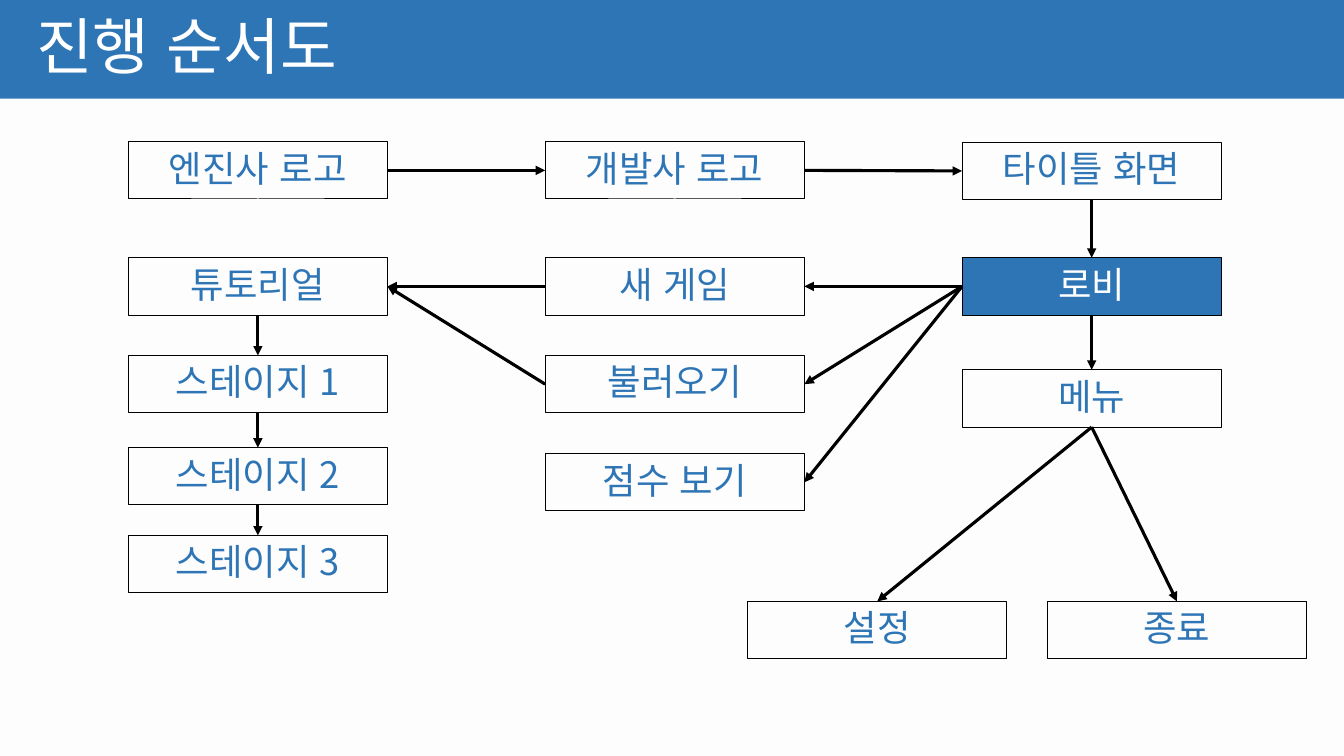
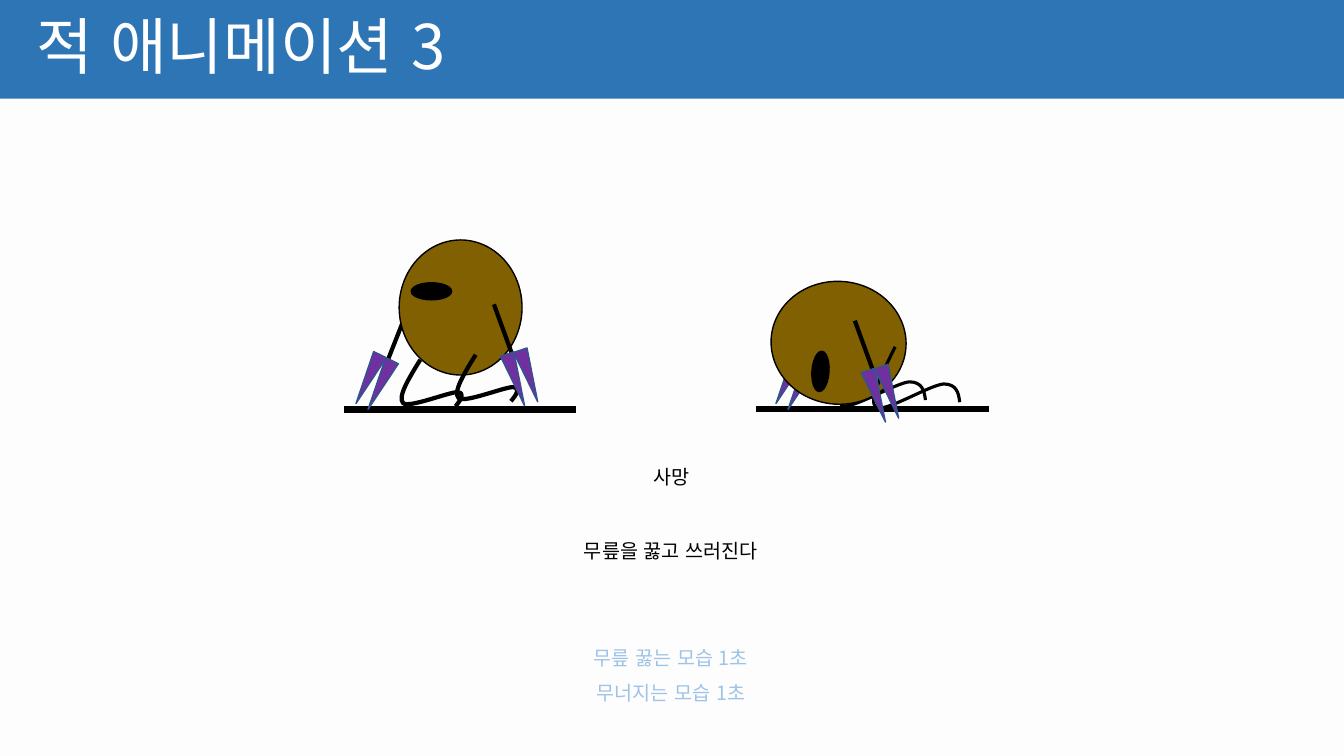
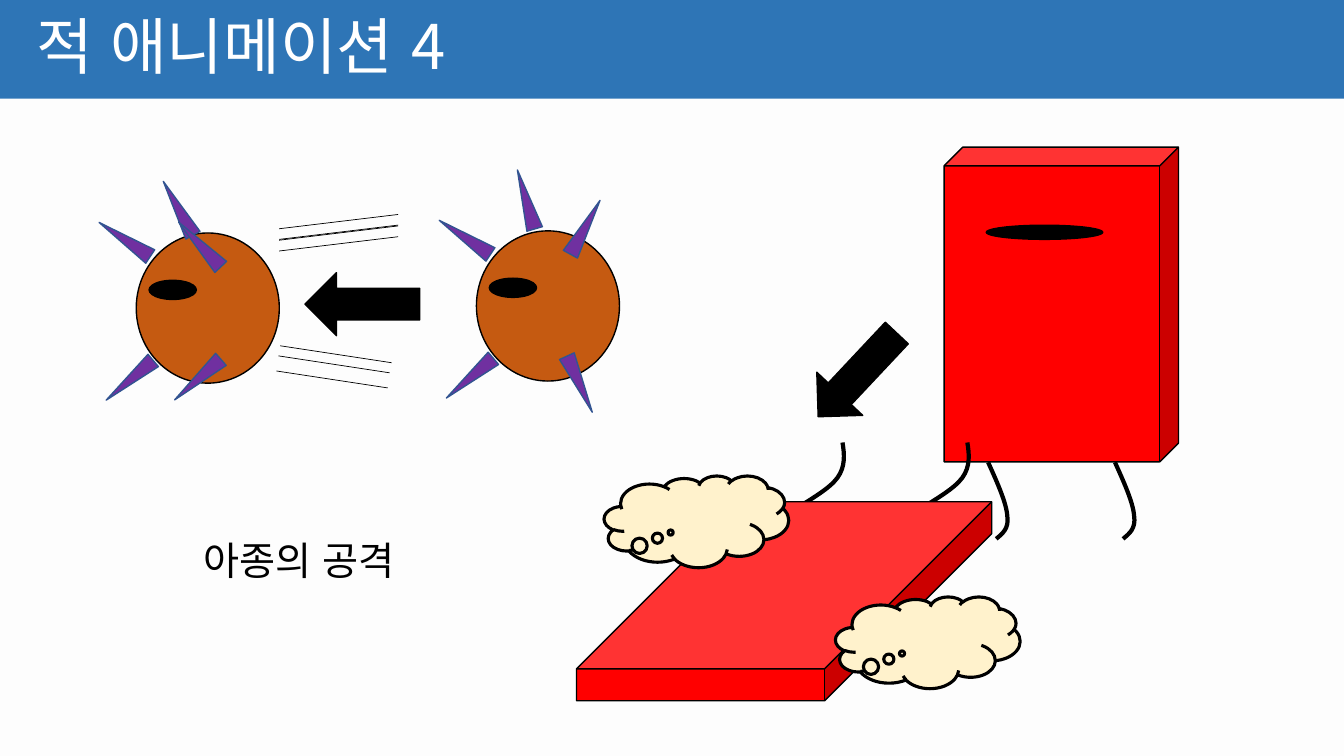
from dataclasses import dataclass
from typing import Any

from lxml import etree
from pptx import Presentation
from pptx.dml.color import RGBColor
from pptx.enum import lang, shapes as kinds, text as txt
from pptx.oxml.ns import qn
from pptx.util import Pt

# Shared look
BLUE = RGBColor(0x2E, 0x75, 0xB6)
PALE = RGBColor(0x9D, 0xC3, 0xE6)
WHITE = RGBColor(0xFF, 0xFF, 0xFF)
PAPER = RGBColor(0xFD, 0xFD, 0xFD)
BLACK = RGBColor(0, 0, 0)
OLIVE = RGBColor(0x80, 0x60, 0x00)
RUST = RGBColor(0xC5, 0x5A, 0x11)
RED = RGBColor(0xFF, 0, 0)
CREAM = RGBColor(0xFF, 0xF2, 0xCC)
VIOLET = RGBColor(0x70, 0x30, 0xA0)
NAVY = RGBColor(0x32, 0x54, 0x91)
FONT = "Noto Sans CJK KR"
WIDE, HIGH, BAND = 960, 540, 70.5

KIND = kinds.MSO_SHAPE
MID, TOP = txt.MSO_ANCHOR.MIDDLE, txt.MSO_ANCHOR.TOP
LEFT, CENTER = txt.PP_ALIGN.LEFT, txt.PP_ALIGN.CENTER
Point = tuple[float, float]


@dataclass
class Line:
    text: str
    color: RGBColor = BLACK
    gap: float = 10


@dataclass
class Node:
    key: str
    text: str
    left: float
    top: float
    hot: bool = False


@dataclass
class Link:
    start: str
    out: int
    end: str
    into: int


@dataclass
class Spike:
    left: float
    top: float
    turn: float


# Drawing helpers
def write(shape: Any, lines: list[Line], size: float,
          anchor: Any = MID, align: Any = CENTER) -> None:
    frame = shape.text_frame
    frame.word_wrap = True
    frame.auto_size = txt.MSO_AUTO_SIZE.NONE
    frame.vertical_anchor = anchor
    for i, line in enumerate(lines):
        para = frame.add_paragraph() if i else frame.paragraphs[0]
        para.text = line.text
        para.alignment = align
        para.line_spacing = 0.9
        para.space_before = Pt(line.gap if i else 0)
    for props in shape.element.iter(qn("a:pPr")):
        props.set("marL", "0")
        props.set("indent", "0")
        etree.SubElement(props, qn("a:buNone"))
    for para, line in zip(frame.paragraphs, lines):
        para.font.size = Pt(size)
        para.font.color.rgb = line.color
        para.font.name = FONT
        para.font.language_id = lang.MSO_LANGUAGE_ID.KOREAN
    for props in shape.element.iter(qn("a:defRPr")):
        etree.SubElement(props, qn("a:ea"), typeface=FONT)


def place(shape: Any, left: float, top: float, wide: float, high: float) -> None:
    shape.left, shape.top = Pt(left), Pt(top)
    shape.width, shape.height = Pt(wide), Pt(high)


def draw(parent: Any, kind: Any, left: float, top: float, wide: float, high: float,
         fill: RGBColor | None, edge: RGBColor | None = BLACK, width: float = 1,
         turn: float = 0) -> Any:
    shape = parent.shapes.add_shape(kind, Pt(left), Pt(top), Pt(wide), Pt(high))
    shape.shadow.inherit = False
    shape.rotation = turn
    if fill is None:
        shape.fill.background()
    else:
        shape.fill.solid()
        shape.fill.fore_color.rgb = fill
    if edge is None:
        shape.line.fill.background()
    else:
        shape.line.color.rgb = edge
        shape.line.width = Pt(width)
    return shape


def stroke(parent: Any, start: Point, end: Point, width: float, head: bool = False) -> Any:
    line = parent.shapes.add_connector(
        kinds.MSO_CONNECTOR.STRAIGHT, *(Pt(n) for n in start + end))
    line.line.color.rgb = BLACK
    line.line.width = Pt(width)
    props = line.element.spPr
    if head:
        etree.SubElement(props.find(qn("a:ln")), qn("a:tailEnd"), type="triangle")
    etree.SubElement(props, qn("a:effectLst"))
    return line


def trace(parent: Any, left: float, top: float, knots: list[Point], width: float) -> Any:
    """Draw an open outline from (left, top) through the offsets in knots."""
    pen = parent.shapes.build_freeform(Pt(left), Pt(top))
    pen.add_line_segments([(Pt(left + x), Pt(top + y)) for x, y in knots], close=False)
    shape = pen.convert_to_shape()
    shape.shadow.inherit = False
    shape.fill.background()
    shape.line.color.rgb = BLACK
    shape.line.width = Pt(width)
    return shape


def curve(parent: Any, left: float, top: float, knots: list[Point], width: float) -> None:
    """Turn each three knots of an outline into one cubic curve."""
    shape = trace(parent, left, top, knots, width)
    sides = list(shape.element.iter(qn("a:lnTo")))
    for i in range(0, len(sides), 3):
        bend = etree.Element(qn("a:cubicBezTo"))
        sides[i].addprevious(bend)
        for side in sides[i:i + 3]:
            bend.append(side[0])
            side.getparent().remove(side)


def stab(parent: Any, spikes: list[Spike], left: float, top: float,
         wide: float, high: float) -> None:
    for s in spikes:
        draw(parent, KIND.ISOSCELES_TRIANGLE, left + s.left, top + s.top,
             wide, high, VIOLET, NAVY, turn=s.turn + 180)


def start(deck: Any, layout: int, title: str) -> Any:
    slide = deck.slides.add_slide(deck.slide_layouts[layout])
    place(slide.shapes.title, 18.7, 0.5, 828, 70)
    write(slide.shapes.title, [Line(title, WHITE)], 44, align=LEFT)
    return slide


def theme(deck: Any, slide: Any) -> None:
    """Colour the master and move the paper panel onto it."""
    master = deck.slide_master
    master.background.fill.solid()
    master.background.fill.fore_color.rgb = BLUE
    panel = draw(slide, KIND.RECTANGLE, 0, BAND, WIDE, HIGH - BAND, PAPER, None)
    panel.element.nvSpPr.cNvPr.set("id", "99")
    master.element.cSld.spTree.insert(2, panel.element)


# Slide 1: flow chart
COLS = [91.6 + 297.8 * i for i in range(3)]
NODES = [
    Node("guide", "튜토리얼", COLS[0], 184.1),
    Node("one", "스테이지 1", COLS[0], 253.9),
    Node("two", "스테이지 2", COLS[0], 319.7),
    Node("three", "스테이지 3", COLS[0], 382.5),
    Node("engine", "엔진사 로고", COLS[0], 101.2),
    Node("maker", "개발사 로고", COLS[1], 101.2),
    Node("title", "타이틀 화면", COLS[2], 101.6),
    Node("lobby", "로비", COLS[2], 184.1, True),
    Node("load", "불러오기", COLS[1], 253.9),
    Node("new", "새 게임", COLS[1], 184.1),
    Node("score", "점수 보기", COLS[1], 324),
    Node("menu", "메뉴", COLS[2], 264.1),
    Node("quit", "종료", 748.1, 429.6),
    Node("setup", "설정", 534, 429.6),
]
UP, WEST, DOWN, EAST = range(4)
LINKS = [
    Link("engine", EAST, "maker", WEST), Link("maker", EAST, "title", WEST),
    Link("title", DOWN, "lobby", UP), Link("lobby", WEST, "new", EAST),
    Link("new", WEST, "guide", EAST), Link("load", WEST, "guide", EAST),
    Link("guide", DOWN, "one", UP), Link("one", DOWN, "two", UP),
    Link("two", DOWN, "three", UP), Link("lobby", WEST, "load", EAST),
    Link("lobby", WEST, "score", EAST), Link("lobby", DOWN, "menu", UP),
    Link("menu", DOWN, "setup", UP), Link("menu", DOWN, "quit", UP),
]


def flow(slide: Any) -> None:
    boxes = {}
    for n in NODES:
        box = draw(slide, KIND.RECTANGLE, n.left, n.top, 185.2, 41,
                   BLUE if n.hot else None, width=0.75)
        write(box, [Line(n.text, WHITE if n.hot else BLUE)], 26)
        boxes[n.key] = box
    for link in LINKS:
        line = stroke(slide, (0, 0), (0, 0), 2.25, head=True)
        line.begin_connect(boxes[link.start], link.out)
        line.end_connect(boxes[link.end], link.into)


# Slide 2: enemy kneels and falls
KNEEL = [(-8, 13), (-16.5, 26.7), (-12.2, 31), (-7.9, 34.6), (20.2, 23.1),
         (26.7, 23.1), (32.4, 23.8), (28.8, 28.8), (25.2, 33.2)]
CRAWL = [(-9.4, 19.4), (-19.4, 38.9), (-13.7, 43.2), (-7.9, 47.5), (24.5, 27.4),
         (34.6, 26.6), (43.9, 26.6), (45.4, 33.1), (46.1, 39.6)]
BACK = [Spike(-24.6, 33.8, 26.2), Spike(-33.2, 29.5, 26.2)]
FRONT = [Spike(20, 31.7, 341.4), Spike(10.6, 34.5, 341.4)]


def arm(parent: Any, left: float, top: float, reach: float, spikes: list[Spike]) -> None:
    trace(parent, left, top, [(reach, 34.6)], 3)
    stab(parent, spikes, left, top, 10.1, 38.9)


def body(parent: Any, left: float, top: float, eye: Point, turn: float = 0) -> None:
    draw(parent, KIND.OVAL, left, top, 87.8, 96.5, OLIVE, turn=turn)
    draw(parent, KIND.OVAL, *eye, 28.8, 12.2, BLACK, turn=turn)


def death(slide: Any) -> None:
    knee = slide.shapes.add_group_shape()
    stroke(knee, (245.5, 292.5), (411.5, 292.5), 4.5)
    arm(knee, 291, 221.8, -13.7, BACK)
    body(knee, 285.1, 171.4, (293.8, 202))
    for left, top in ((339.8, 253.4), (300.2, 257)):
        curve(knee, left, top, KNEEL, 3)
    arm(knee, 352.8, 217.4, 12.6, FRONT)

    fall = slide.shapes.add_group_shape()
    curve(fall, 614.9, 246.2, CRAWL, 2.25)
    stroke(fall, (540, 292), (706.3, 292), 4.5)
    arm(fall, 591, 221.8, -13.7, BACK)
    body(fall, 555.1, 196.6, (571.7, 259.2), 273.9)
    curve(fall, 639.4, 247.7, CRAWL, 2.25)
    arm(fall, 610.6, 229.1, 12.6, FRONT)

    name = slide.shapes.add_textbox(Pt(441), Pt(330.5), Pt(77), Pt(28))
    write(name, [Line("사망")], 14, TOP)
    notes = slide.placeholders[1]
    place(notes, 272.9, 383.2, 412.6, 130.3)
    write(notes, [Line("무릎을 꿇고 쓰러진다"), Line("무릎 꿇는 모습 1초", PALE, 61),
                  Line("무너지는 모습 1초", PALE)], 14, TOP)


# Slide 3: attacks of the other kinds
STAND = [(6.5, 14.4), (13, 28.8), (13.7, 38.2),
         (15.1, 47.5), (10.1, 51.1), (5.8, 54.7)]
KICK = [(12.2, -7.9), (25.2, -15.1), (31, -23),
        (36.7, -31), (36, -39.6), (34.6, -48.2)]
SIDE = [Spike(-10.4, 83.3, 49.8), Spike(-14, -17.3, 123.7)]
RUSH = [Spike(38.2, 82.8, 48.8), Spike(24.2, -39.6, 151.2), Spike(39.6, -13.7, 136.8)]
REST = [Spike(67.9, 87.6, 335.6), Spike(29.7, -44.4, 163.7), Spike(72, -24.5, 208.8)]


def ball(slide: Any, left: float, top: float, spikes: list[Spike]) -> None:
    group = slide.shapes.add_group_shape()
    draw(group, KIND.OVAL, left, top, 102.2, 107.3, RUST)
    draw(group, KIND.OVAL, left + 9.2, top + 33.8, 33.8, 13.7, BLACK)
    stab(group, SIDE + spikes, left, top, 11.5, 43.9)


def attack(slide: Any) -> None:
    ball(slide, 97.3, 166.4, RUSH)
    ball(slide, 340.3, 164.9, REST)

    # Standing slab
    slab = slide.shapes.add_group_shape()
    block = draw(slab, KIND.CUBE, 674.4, 105.1, 167.4, 224.8, RED)
    block.adjustments[0] = 0.08
    draw(slab, KIND.OVAL, 704.5, 160.9, 83.2, 10.1, BLACK)
    for left in (705.8, 796.4):
        curve(slab, left, 330.2, STAND, 3)

    # Fallen slab with dust
    flat = slide.shapes.add_group_shape()
    for left in (656.4, 567.2):
        curve(flat, left, 364.3, KICK, 3)
    block = draw(flat, KIND.CUBE, 411.8, 358.4, 296.6, 142.2, RED)
    block.adjustments[0] = 0.84
    for left, top in ((596.9, 426.2), (431.6, 339.8)):
        dust = draw(flat, KIND.CLOUD_CALLOUT, left, top, 131.8, 65.5, CREAM, width=2.25)
        dust.adjustments[0], dust.adjustments[1] = -0.14, 0.12

    # Motion arrows and speed lines
    for left, top, turn in ((217.8, 194.8, 0), (571.5, 245.3, 313.2)):
        draw(slide, KIND.LEFT_ARROW, left, top, 82, 45, BLACK, turn=turn)
    for top in (163.4, 171, 171.6, 179.3):
        stroke(slide, (199.4, top), (284.4, top - 10.2), 0.5)
    for left, top in ((197.5, 265), (198.8, 254.2), (200.2, 247)):
        stroke(slide, (left, top), (left + 79.5, top + 12.1), 0.5)

    name = slide.shapes.add_textbox(Pt(120.2), Pt(364.3), Pt(187.2), Pt(74.9))
    write(name, [Line("아종의 공격")], 28)


def main() -> None:
    deck = Presentation()
    deck.slide_width, deck.slide_height = Pt(WIDE), Pt(HIGH)
    first = start(deck, 5, "진행 순서도")
    theme(deck, first)
    flow(first)
    death(start(deck, 1, "적 애니메이션 3"))
    attack(start(deck, 5, "적 애니메이션 4"))
    deck.save("out.pptx")


if __name__ == "__main__":
    main()
